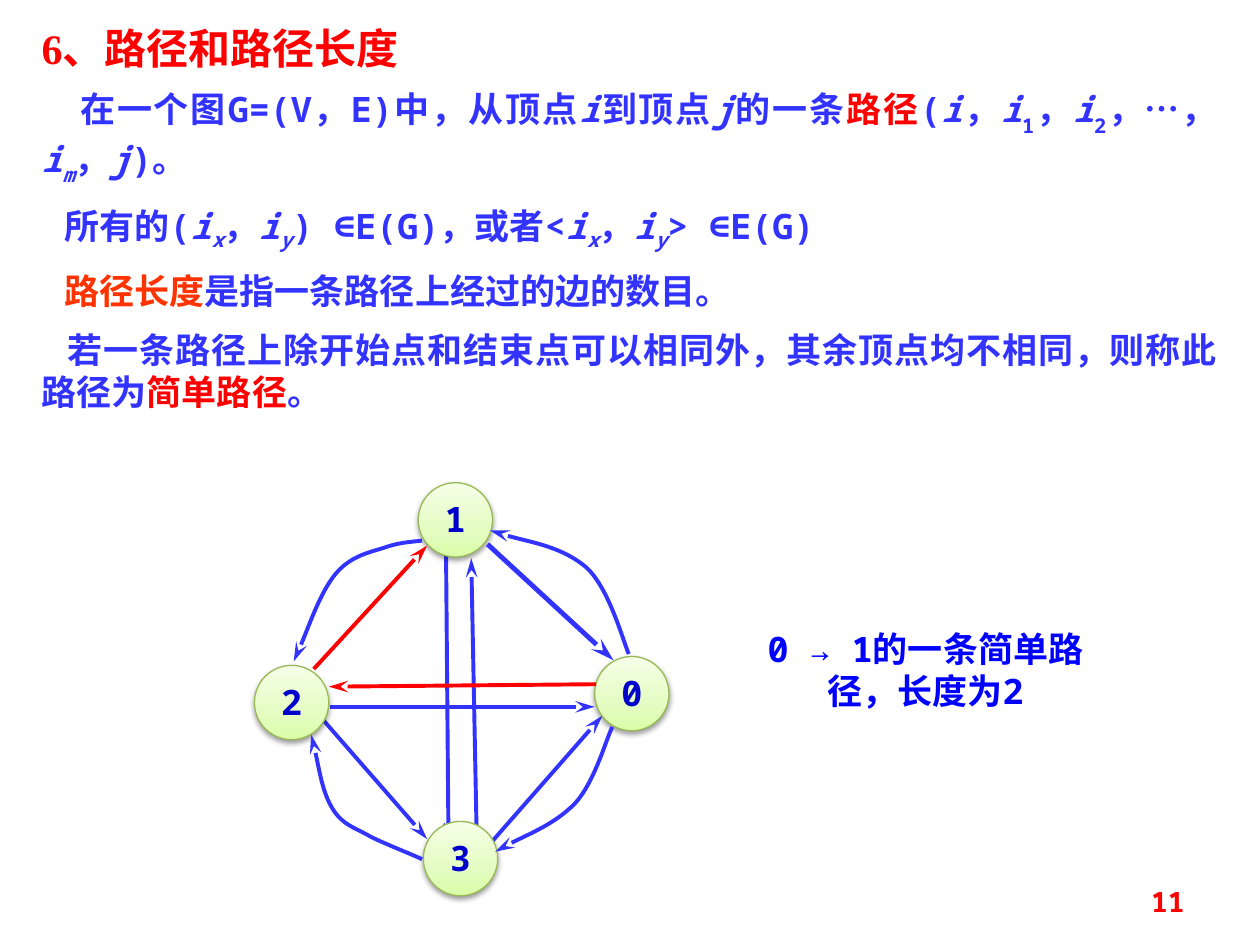
import copy

import lxml.etree
import pptx
import pptx.dml.color
import pptx.enum.shapes
import pptx.enum.text
import pptx.oxml.ns
import pptx.util

Pt = pptx.util.Pt
qn = pptx.oxml.ns.qn
color = pptx.dml.color.RGBColor.from_string
ALIGN = pptx.enum.text.PP_ALIGN
ANCHOR = pptx.enum.text.MSO_ANCHOR
MONO = "Noto Sans Mono"
BLUE, RED = "3333FF", "FF0000"


def add_run(paragraph, text, size, hex_color, font=MONO, italic=False, baseline=0):
    run = paragraph.add_run()
    run.text = text
    run.font.name = font
    run.font.size = Pt(size)
    run.font.bold = True
    run.font.italic = italic
    run.font.color.rgb = color(hex_color)
    if baseline:
        run.font._element.set("baseline", str(baseline * 1000))


def add_arrow(shapes, points, hex_color=BLUE, width=2.25, head="stealth"):
    """Two points make a straight arrow, more make a chain of Bezier curves."""
    points = [(Pt(x), Pt(y)) for x, y in points]
    if len(points) == 2:
        arrow = shapes.add_connector(
            pptx.enum.shapes.MSO_CONNECTOR.STRAIGHT, *points[0], *points[1])
        lxml.etree.SubElement(arrow._element.spPr, qn("a:effectLst"))
    else:
        builder = shapes.build_freeform(*points[0])
        builder.add_line_segments(points[1:], close=False)
        arrow = builder.convert_to_shape()
        arrow.shadow.inherit = False
        arrow.fill.background()
        segments = list(arrow._element.iter(qn("a:lnTo")))
        outline = segments[0].getparent()
        for first in range(0, len(segments), 3):
            curve = lxml.etree.SubElement(outline, qn("a:cubicBezTo"))
            for segment in segments[first:first + 3]:
                curve.append(segment[0])
                outline.remove(segment)
    arrow.line.color.rgb = color(hex_color)
    arrow.line.width = Pt(width)
    lxml.etree.SubElement(arrow.line._get_or_add_ln(), qn("a:tailEnd"),
                          type=head, w="med", len="lg")


presentation = pptx.Presentation()
presentation.slide_width, presentation.slide_height = Pt(720), Pt(540)
slide = presentation.slides.add_slide(presentation.slide_layouts[1])

# Title and body placeholders
title, body = slide.shapes.title, slide.placeholders[1]
for placeholder, top, height in ((title, 9, 40), (body, 50, 190)):
    placeholder.left, placeholder.top = Pt(16.6), Pt(top)
    placeholder.width, placeholder.height = Pt(686), Pt(height)
    placeholder.text_frame.vertical_anchor = ANCHOR.TOP
    placeholder.text_frame.auto_size = pptx.enum.text.MSO_AUTO_SIZE.NONE
body.text_frame.margin_top = 0

paragraph = title.text_frame.paragraphs[0]
paragraph.alignment = ALIGN.JUSTIFY
add_run(paragraph, "6、路径和路径长度", 24, RED, "Times New Roman")

# Definitions: first-line indent, then runs of (text, style)
styles = {
    "plain": {"hex_color": BLUE},
    "red": {"hex_color": RED},
    "orange": {"hex_color": "FF3300"},
    "italic": {"hex_color": BLUE, "italic": True},
    "index": {"hex_color": BLUE, "baseline": -30},
    "italic index": {"hex_color": BLUE, "italic": True, "baseline": -30},
    "pair index": {"hex_color": BLUE, "italic": True, "baseline": -25},
}
pair = [("i", "italic"), ("x", "pair index"), ("，", "plain"),
        ("i", "italic"), ("y", "pair index")]
definitions = [
    (22, [("在一个图G=(V，E)中，从顶点", "plain"), ("i", "italic"),
          ("到顶点", "plain"), ("j", "italic"), ("的一条", "plain"),
          ("路径", "red"), ("(", "plain"), ("i", "italic"), ("，", "plain"),
          ("i", "italic"), ("1", "index"), ("，", "plain"),
          ("i", "italic"), ("2", "index"), ("，…，", "plain"),
          ("i", "italic"), ("m", "italic index"), ("，", "plain"),
          ("j", "italic"), (")。", "plain")]),
    (13, [("所有的(", "plain"), *pair, (") ∈E(G)，或者<", "plain"), *pair,
          ("> ∈E(G)", "plain")]),
    (13, [("路径长度", "orange"), ("是指一条路径上经过的边的数目。", "plain")]),
    (15, [("若一条路径上除开始点和结束点可以相同外，其余顶点均不相同，则称此路径为", "plain"),
          ("简单路径", "red"), ("。", "plain")]),
]
for number, (indent, runs) in enumerate(definitions):
    frame = body.text_frame
    paragraph = frame.add_paragraph() if number else frame.paragraphs[0]
    paragraph.alignment = ALIGN.JUSTIFY
    paragraph.space_before = Pt(10 if number else 0)
    properties = paragraph._p.get_or_add_pPr()
    properties.set("marL", "0")
    properties.set("indent", str(Pt(indent)))
    lxml.etree.SubElement(properties, qn("a:buNone"))
    for text, style in runs:
        add_run(paragraph, text, 20, **styles[style])

# Graph: edges behind the nodes
graph = slide.shapes.add_group_shape().shapes
add_arrow(graph, [(254.9, 317.5), (256.3, 482.4)], head="arrow")
for edge in (
    [(273, 507.6), (269.3, 319)],
    [(188.6, 403.9), (339.8, 403.9)],
    [(170.6, 395.3), (244.1, 479.5)],
    [(272.9, 490.3), (344.2, 409)],
):
    add_arrow(graph, edge)

# Graph: nodes
for label, left, top in (("1", 239, 275.8), ("0", 339.8, 375.1),
                         ("2", 145.4, 380.2), ("3", 241.9, 469.4)):
    node = graph.add_shape(pptx.enum.shapes.MSO_SHAPE.OVAL,
                           Pt(left), Pt(top), Pt(42.5), Pt(42.5))
    node.fill.gradient()
    node.fill.gradient_angle = 90
    stop_list = next(node._element.iter(qn("a:gsLst")))
    stop_list.insert(1, copy.deepcopy(stop_list[0]))
    stops = ((0, "DAFDA7"), (0.35, "E4FCC2"), (1, "F5FFE7"))
    for stop, (position, hex_color) in zip(node.fill.gradient_stops, stops):
        stop.position = position
        stop.color.rgb = color(hex_color)
    node.line.color.rgb = color("98B955")
    node.line.width = Pt(0.75)
    node.shadow.inherit = False
    shadow = lxml.etree.SubElement(
        node._element.spPr.find(qn("a:effectLst")), qn("a:outerShdw"),
        blurRad=str(Pt(3.1)), dist=str(Pt(1.6)), dir="5400000", rotWithShape="0")
    shade = lxml.etree.SubElement(shadow, qn("a:srgbClr"), val="000000")
    lxml.etree.SubElement(shade, qn("a:alpha"), val="38000")
    frame = node.text_frame
    frame.vertical_anchor = ANCHOR.TOP
    frame.margin_left = frame.margin_right = frame.margin_bottom = 0
    frame.margin_top = Pt(8.6)
    paragraph = frame.paragraphs[0]
    paragraph.alignment = ALIGN.CENTER
    paragraph.line_spacing = 0.72
    add_run(paragraph, label, 20, "0000CC")

# Graph: curved edges
for edge in (
    [(349.9, 415.4), (346.3, 422.6), (339.8, 447.1), (328.3, 459.4),
     (316.8, 470.9), (292.3, 481), (283, 486.7)],
    [(241.2, 308.9), (237.6, 309.6), (229.7, 309.6), (221, 312.5),
     (213.1, 315.4), (200.9, 316.8), (191.5, 328.3),
     (182.9, 339.1), (172.8, 367.9), (167.8, 378)],
    [(241.2, 491), (235.4, 488.2), (220.3, 482.4), (211.7, 478.1),
     (203, 473), (195.8, 471.6), (190.1, 462.2),
     (184.3, 452.9), (180, 427), (177.8, 419.8)],
    [(359.3, 373.7), (355.7, 365), (347.8, 335.5), (334.8, 324),
     (321.1, 312.5), (291.6, 307.4), (280.1, 303.1)],
):
    add_arrow(graph, edge)

# Graph: the simple path in red, and the edge from 1 to 0
add_arrow(graph, [(340.6, 391), (187.9, 392.4)], RED)
add_arrow(graph, [(179.3, 382.3), (244.1, 311.8)], RED)
add_arrow(graph, [(278.6, 311), (350.6, 377.3)], width=2.75)

# Caption and page number
for text, box, size, hex_color, alignment, anchor in (
    ("0 → 1的一条简单路径，长度为2", (427.7, 355, 202.3, 55.4), 20, "0000FF",
     ALIGN.CENTER, ANCHOR.TOP),
    ("11", (516.2, 500.4, 167.8, 28.8), 16, RED, ALIGN.RIGHT, ANCHOR.MIDDLE),
):
    text_box = slide.shapes.add_textbox(*map(Pt, box))
    text_box.text_frame.word_wrap = True
    text_box.text_frame.vertical_anchor = anchor
    paragraph = text_box.text_frame.paragraphs[0]
    paragraph.alignment = alignment
    add_run(paragraph, text, size, hex_color)

presentation.save("out.pptx")
